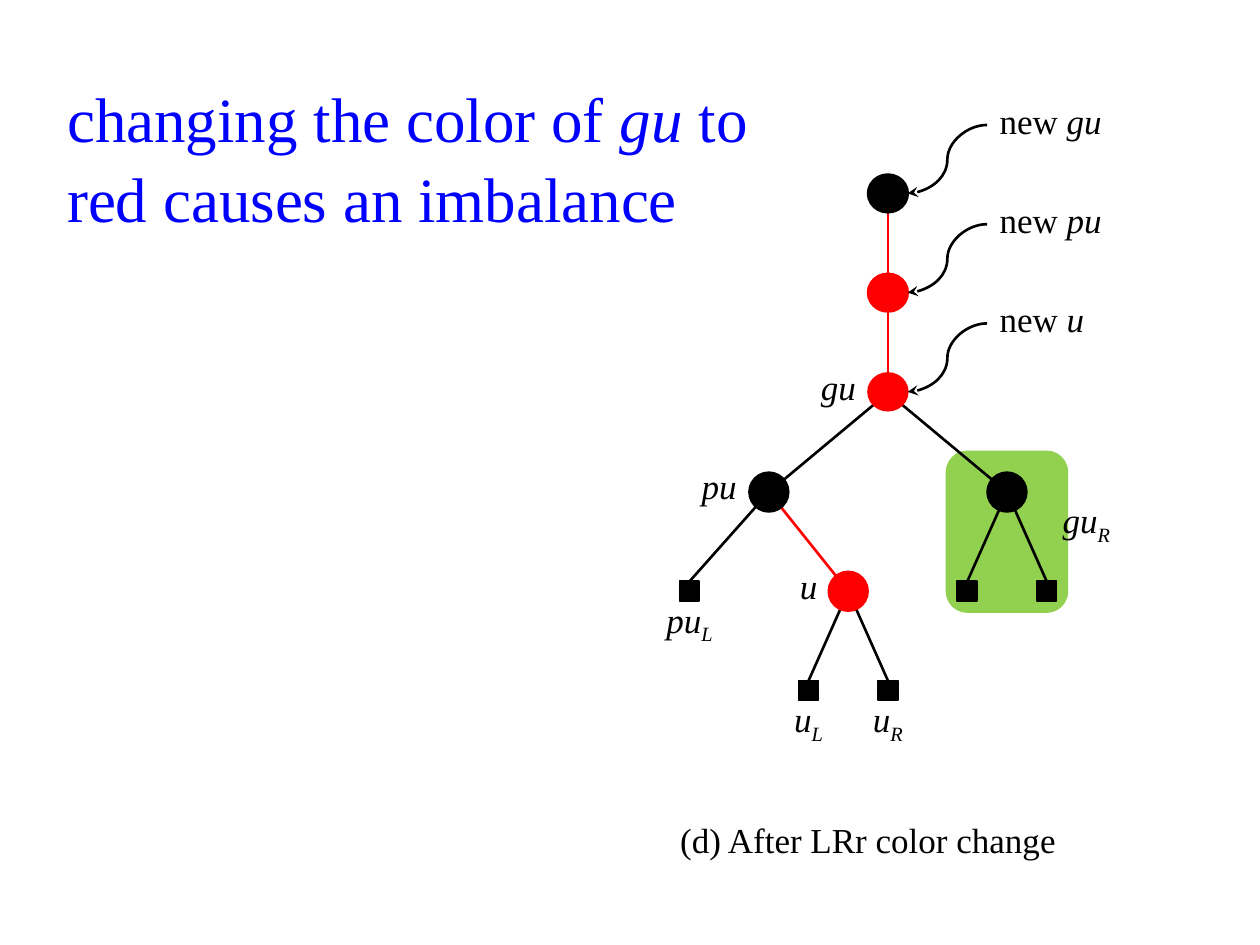
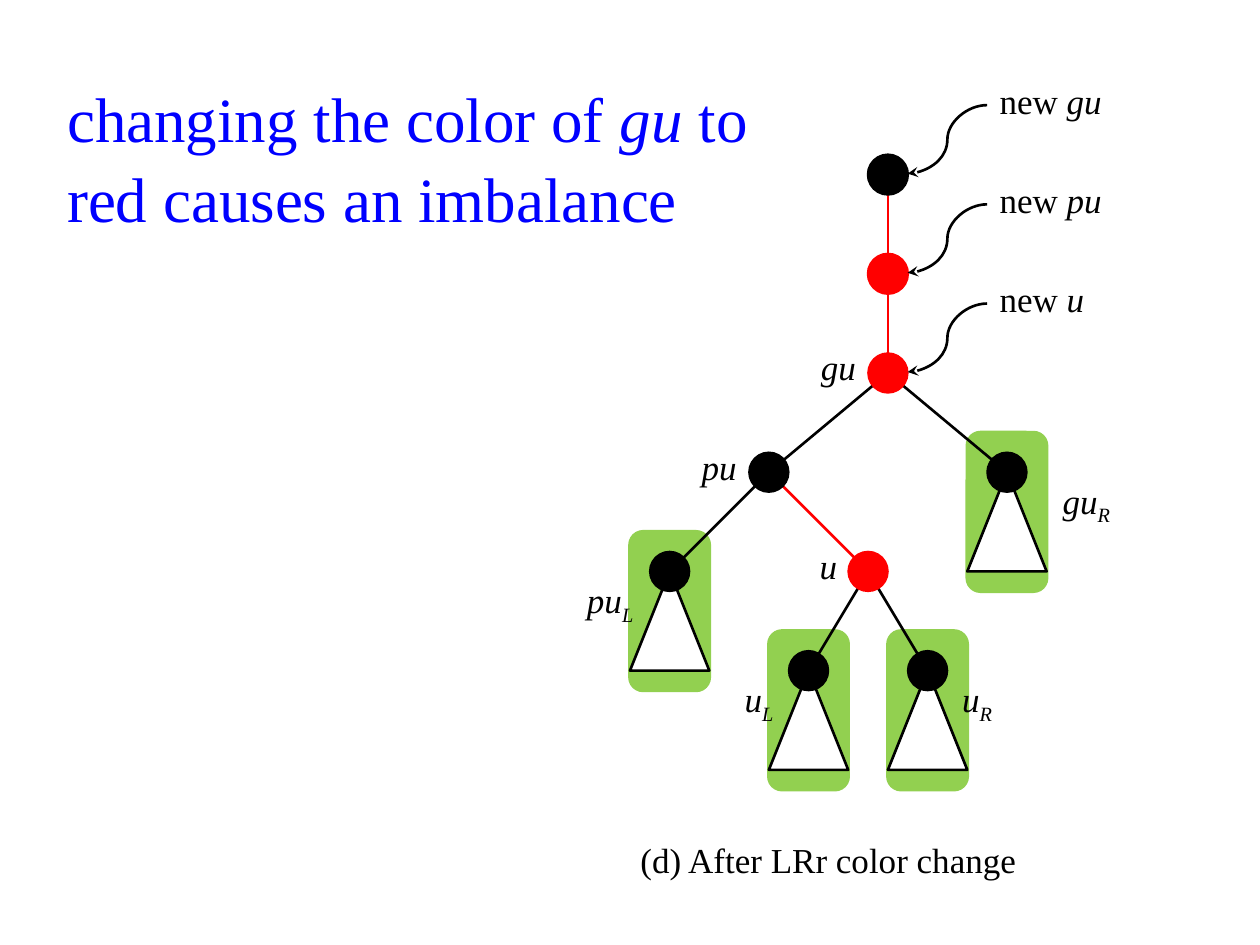
import pptx
import pptx.util
import pptx.dml.color
import pptx.enum.shapes
import pptx.enum.text
import pptx.oxml.ns
import lxml.etree
from collections import namedtuple

Cm, Pt = pptx.util.Cm, pptx.util.Pt
SHAPES = pptx.enum.shapes.MSO_SHAPE
LINES = pptx.enum.shapes.MSO_CONNECTOR
ANCHOR = pptx.enum.text.MSO_ANCHOR
ALIGN = pptx.enum.text.PP_ALIGN

BLACK, RED, GREEN, WHITE, BLUE = "000000", "FF0000", "92D050", "FFFFFF", "0000FF"
FONT = "Times New Roman"
ROW = 2
RADIUS = 0.4
LEAF = 0.4
SPINE_X = 17.9

TITLE = [("changing the color of ", {}), ("gu", {"italic": True}), (" to red causes an imbalance", {})]
CAPTION = "(d) After LRr color change"
ANCESTORS = [("gu", BLACK, 2.8), ("pu", RED, 2.8), ("u", RED, 2.4)]

Node = namedtuple("Node", "parent x depth kind color edge")
Label = namedtuple("Label", "node base sub dx dy width")

TREES = [
    {
        "gu_y": 7.92, "spine_height": 0.76, "caption": (13.1, 16.32), "box_width": 2.4,
        "boxed": ["guR"],
        "nodes": {
            "gu": Node(None, SPINE_X, 0, "circle", RED, None),
            "pu": Node("gu", 15.5, 1, "circle", BLACK, BLACK),
            "guR": Node("gu", 20.3, 1, "circle", BLACK, BLACK),
            "puL": Node("pu", 13.9, 2, "leaf", BLACK, BLACK),
            "u": Node("pu", 17.1, 2, "circle", RED, RED),
            "uL": Node("u", 16.3, 3, "leaf", BLACK, BLACK),
            "uR": Node("u", 17.9, 3, "leaf", BLACK, BLACK),
            "guR left": Node("guR", 19.5, 2, "leaf", BLACK, BLACK),
            "guR right": Node("guR", 21.1, 2, "leaf", BLACK, BLACK),
        },
        "labels": [
            Label("gu", "gu", "", -1.6, -0.4, 1.2),
            Label("pu", "pu", "", -1.6, -0.4, 1.2),
            Label("u", "u", "", -1.2, -0.4, 0.8),
            Label("puL", "pu", "L", -0.8, 0.4, 1.6),
            Label("uL", "u", "L", -0.8, 0.4, 1.6),
            Label("uR", "u", "R", -0.8, 0.4, 1.6),
            Label("guR", "gu", "R", 0.8, 0.4, 1.6),
        ],
    },
    {
        "gu_y": 7.52, "spine_height": 0.8, "caption": (12.3, 16.72), "box_width": 1.6,
        "boxed": ["guR", "puL", "uL", "uR"],
        "nodes": {
            "gu": Node(None, SPINE_X, 0, "circle", RED, None),
            "pu": Node("gu", 15.5, 1, "circle", BLACK, BLACK),
            "guR": Node("gu", 20.3, 1, "subtree", BLACK, BLACK),
            "puL": Node("pu", 13.5, 2, "subtree", BLACK, BLACK),
            "u": Node("pu", 17.5, 2, "circle", RED, RED),
            "uL": Node("u", 16.3, 3, "subtree", BLACK, BLACK),
            "uR": Node("u", 18.7, 3, "subtree", BLACK, BLACK),
        },
        "labels": [
            Label("gu", "gu", "", -1.6, -0.4, 1.2),
            Label("pu", "pu", "", -1.6, -0.4, 1.2),
            Label("u", "u", "", -1.2, -0.4, 0.8),
            Label("puL", "pu", "L", -2, 0.4, 1.6),
            Label("uL", "u", "L", -1.6, 0.4, 1.2),
            Label("uR", "u", "R", 0.4, 0.4, 1.2),
            Label("guR", "gu", "R", 0.8, 0.4, 1.6),
        ],
    },
]

TITLE_FRAME = {"vertical_anchor": ANCHOR.MIDDLE, "word_wrap": True}
CAPTION_FRAME = {"vertical_anchor": ANCHOR.MIDDLE, "word_wrap": True}
ANCESTOR_FRAME = {"vertical_anchor": ANCHOR.MIDDLE, "word_wrap": True,
                  "margin_top": 0, "margin_bottom": Cm(0.2)}
LABEL_FRAME = {"vertical_anchor": ANCHOR.BOTTOM, "word_wrap": True, "margin_left": 0,
               "margin_right": 0, "margin_top": 0, "margin_bottom": Cm(0.1)}


def rgb(color):
    return pptx.dml.color.RGBColor.from_string(color)


def apply(target, formats):
    for name, value in formats.items():
        setattr(target, name, value)


def write(frame, runs, frame_format, align, size=20, color=BLACK):
    apply(frame, frame_format)
    paragraph = frame.paragraphs[0]
    paragraph.alignment = align
    for words, extra in runs:
        run = paragraph.add_run()
        run.text = words
        apply(run.font, {"name": FONT, "size": Pt(size), "italic": False,
                         **{k: v for k, v in extra.items() if k != "subscript"}})
        run.font.color.rgb = rgb(color)
        if "subscript" in extra:
            run.font._element.set("baseline", "-25000")
    return paragraph


def add_text(slide, left, top, width, height, runs, frame_format, align):
    area = slide.shapes.add_textbox(Cm(left), Cm(top), Cm(width), Cm(height))
    write(area.text_frame, runs, frame_format, align)


def add_figure(slide, preset, left, top, width, height, fill, outline, weight):
    figure = slide.shapes.add_shape(preset, Cm(left), Cm(top), Cm(width), Cm(height))
    figure.shadow.inherit = False
    figure.fill.solid()
    figure.fill.fore_color.rgb = rgb(fill)
    figure.line.color.rgb = rgb(outline)
    figure.line.width = Pt(weight)


def add_line(slide, start, end, color, kind=LINES.STRAIGHT, arrow=False):
    line = slide.shapes.add_connector(kind, *map(Cm, start + end))
    line.line.color.rgb = rgb(color)
    line.line.width = Pt(1.5)
    qn = pptx.oxml.ns.qn
    if arrow:
        lxml.etree.SubElement(line.line._get_or_add_ln(), qn("a:tailEnd"), type="stealth")
    lxml.etree.SubElement(line._element.spPr, qn("a:effectLst"))


def add_title(slide):
    title = slide.shapes.title
    apply(title, {"left": Cm(1.1), "top": Cm(1.53), "width": Cm(14.4), "height": Cm(3.2)})
    heading = write(title.text_frame, TITLE, TITLE_FRAME, ALIGN.LEFT, 36, BLUE)
    heading.line_spacing = 1.05


def add_circle(slide, x, y, color, weight, height=2 * RADIUS):
    add_figure(slide, SHAPES.OVAL, x - RADIUS, y - RADIUS, 2 * RADIUS, height, color, color, weight)


def add_ancestors(slide, gu_y, height):
    levels = [gu_y - ROW * step for step in (2, 1, 0)]
    for upper, lower in zip(levels, levels[1:]):
        add_line(slide, (SPINE_X, upper), (SPINE_X, lower), RED)
    for (name, color, width), y in zip(ANCESTORS, levels):
        add_circle(slide, SPINE_X, y, color, 1.5 if y < gu_y else 1, height)
        add_text(slide, 19.9, y - ROW, width, 1.2,
                 [("new ", {}), (name, {"italic": True})], ANCESTOR_FRAME, ALIGN.LEFT)
        add_line(slide, (19.9, y - 1.4), (18.3, y - 0.02), BLACK, LINES.CURVE, True)


def add_tree(slide, tree):
    nodes = tree["nodes"]
    center = {name: (node.x, tree["gu_y"] + ROW * node.depth) for name, node in nodes.items()}
    for name in tree["boxed"]:
        x, y = center[name]
        add_figure(slide, SHAPES.FLOWCHART_ALTERNATE_PROCESS, x - tree["box_width"] / 2, y - 0.8,
                   tree["box_width"], 3.2, GREEN, GREEN, 2)
    for name, node in nodes.items():
        if node.parent:
            x, y = center[name]
            end = (x, y - LEAF / 2) if node.kind == "leaf" else (x, y)
            add_line(slide, center[node.parent], end, node.edge)
    for name, node in nodes.items():
        x, y = center[name]
        if node.kind == "leaf":
            add_figure(slide, SHAPES.RECTANGLE, x - LEAF / 2, y - LEAF / 2, LEAF, LEAF,
                       node.color, node.color, 1)
            continue
        if node.kind == "subtree":
            add_figure(slide, SHAPES.ISOSCELES_TRIANGLE, x - 0.8, y, 1.6, ROW, WHITE, BLACK, 1.5)
        if node.parent:
            add_circle(slide, x, y, node.color, 1)
    for label in tree["labels"]:
        x, y = center[label.node]
        runs = [(label.base, {"italic": True})]
        if label.sub:
            runs.append((label.sub, {"italic": True, "subscript": True}))
        add_text(slide, x + label.dx, y + label.dy, label.width, 0.8, runs, LABEL_FRAME, ALIGN.CENTER)


def main():
    deck = pptx.Presentation()
    apply(deck, {"slide_width": Cm(25.4), "slide_height": Cm(19.05)})
    for tree in TREES:
        slide = deck.slides.add_slide(deck.slide_layouts[5])
        add_title(slide)
        add_tree(slide, tree)
        add_ancestors(slide, tree["gu_y"], tree["spine_height"])
        add_text(slide, *tree["caption"], 8.8, 1.2, [(CAPTION, {})], CAPTION_FRAME, ALIGN.CENTER)
    deck.save("out.pptx")


if __name__ == "__main__":
    main()
